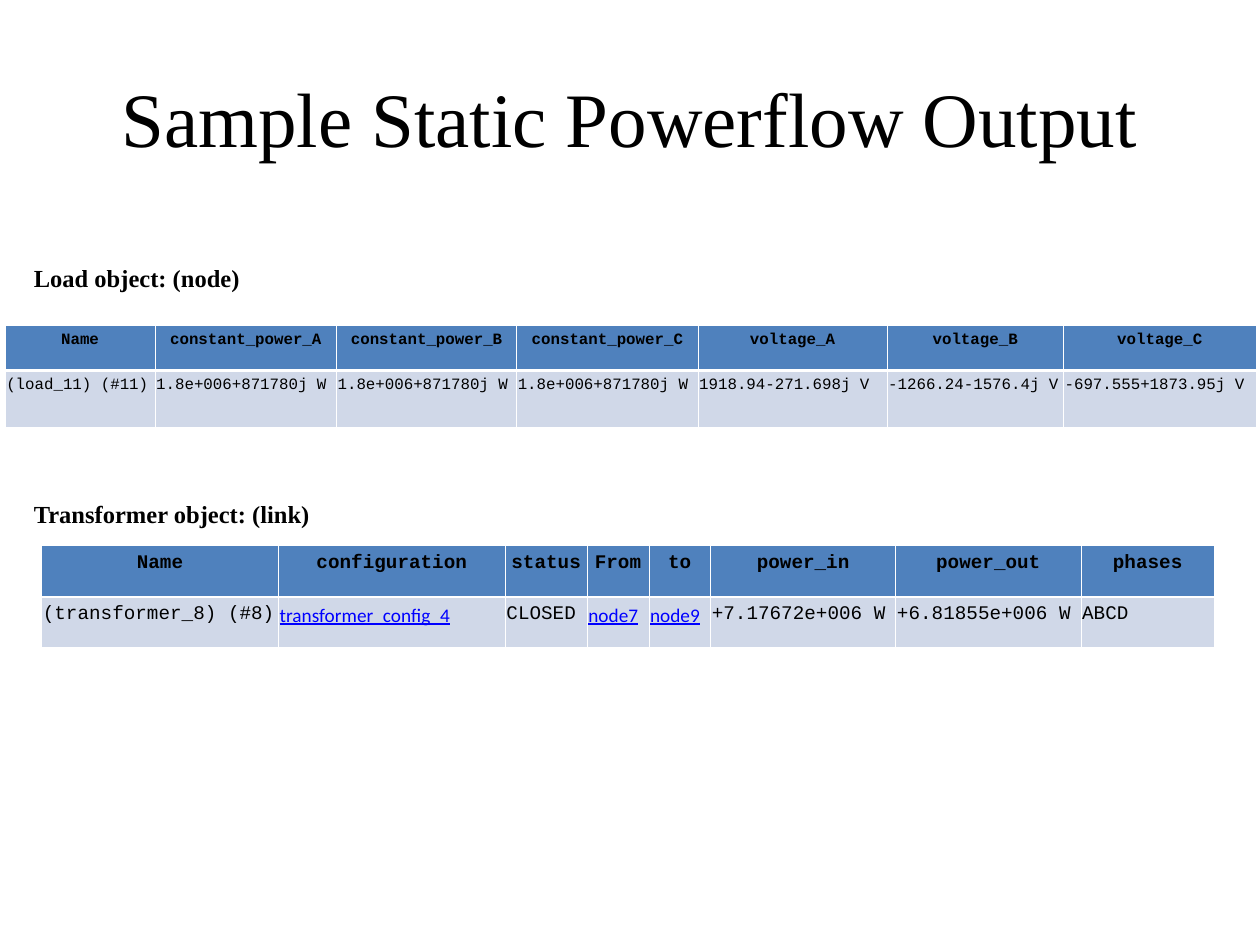
from dataclasses import dataclass

from lxml import etree
from pptx import Presentation
from pptx.dml.color import RGBColor
from pptx.enum import text
from pptx.oxml import ns
from pptx.util import Inches, Pt


@dataclass(frozen=True)
class Theme:
    ink: str = "000000"
    link: str = "0000FF"
    header: str = "4F81BD"
    body: str = "D0D8E8"
    border: str = "FFFFFF"
    serif: str = "Times New Roman"
    mono: str = "Courier New"
    sans: str = "Calibri"
    title_size: int = 44
    heading_size: int = 14
    load_size: int = 9
    transformer_size: int = 11
    thin: float = 0.45
    thick: float = 1.47


theme = Theme()


def style(paragraph, name, size, color=theme.ink, bold=False):
    font = paragraph.font
    font.name, font.size, font.bold = name, Pt(size), bold
    font.color.rgb = RGBColor.from_string(color)


def add_borders(cell, **widths):
    properties = cell._tc.get_or_add_tcPr()
    for side in "LRTB":
        line = etree.SubElement(properties, ns.qn(f"a:ln{side}"), w=str(Pt(widths.get(side, theme.thin))))
        fill = etree.SubElement(line, ns.qn("a:solidFill"))
        etree.SubElement(fill, ns.qn("a:srgbClr"), val=theme.border)


presentation = Presentation()
presentation.slide_width, presentation.slide_height = Inches(10), Inches(7.5)
slide = presentation.slides.add_slide(presentation.slide_layouts[5])

# Title
title = slide.shapes.title
title.left, title.top, title.width, title.height = Inches(0.5), Inches(0.3), Inches(9), Inches(1.25)
title.text_frame.text = "Sample Static Powerflow Output"
title.text_frame.vertical_anchor = text.MSO_ANCHOR.MIDDLE
paragraph = title.text_frame.paragraphs[0]
paragraph.alignment = text.PP_ALIGN.CENTER
style(paragraph, theme.serif, theme.title_size)

# Section headings
for heading, top in (("Load object: (node)", 2.08), ("Transformer object: (link)", 3.96)):
    box = slide.shapes.add_textbox(Inches(0.17), Inches(top), Inches(9.83), Inches(0.3))
    box.text_frame.word_wrap = True
    paragraph = box.text_frame.paragraphs[0]
    paragraph.text = heading
    paragraph.line_spacing = 0.8
    style(paragraph, theme.serif, theme.heading_size, bold=True)

# Table contents: position, text size, row heights, then (width, header, value) per column
power = "1.8e+006+871780j W"
tables = [
    (0.04, 2.58, theme.load_size, (0.36, 0.45), [
        (1.19, "Name", "(load_11) (#11)"),
        (1.44, "constant_power_A", power),
        (1.43, "constant_power_B", power),
        (1.44, "constant_power_C", power),
        (1.5, "voltage_A", "1918.94-271.698j V"),
        (1.4, "voltage_B", "-1266.24-1576.4j V"),
        (1.53, "voltage_C", "-697.555+1873.95j V"),
    ]),
    (0.33, 4.33, theme.transformer_size, (0.41, 0.4), [
        (1.88, "Name", "(transformer_8) (#8)"),
        (1.8, "configuration", "transformer_config_4"),
        (0.65, "status", "CLOSED"),
        (0.49, "From", "node7"),
        (0.49, "to", "node9"),
        (1.47, "power_in", "+7.17672e+006 W"),
        (1.47, "power_out", "+6.81855e+006 W"),
        (1.06, "phases", "ABCD"),
    ]),
]
reference_columns = {"configuration", "From", "to"}

# Tables
for left, top, size, heights, columns in tables:
    width = sum(column[0] for column in columns)
    table = slide.shapes.add_table(
        len(heights), len(columns), Inches(left), Inches(top), Inches(width), Inches(sum(heights))
    ).table
    for row, height in zip(table.rows, heights):
        row.height = Inches(height)
    for column_index, (column_width, header, value) in enumerate(columns):
        table.columns[column_index].width = Inches(column_width)
        for row_index, content in enumerate((header, value)):
            is_header = row_index == 0
            cell = table.cell(row_index, column_index)
            cell.margin_left = cell.margin_right = Inches(0.01)
            cell.margin_top = cell.margin_bottom = Inches(0.05)
            add_borders(cell, **{"B" if is_header else "T": theme.thick})
            cell.fill.solid()
            cell.fill.fore_color.rgb = RGBColor.from_string(theme.header if is_header else theme.body)
            paragraph = cell.text_frame.paragraphs[0]
            paragraph.text = content
            paragraph.alignment = text.PP_ALIGN.CENTER if is_header else text.PP_ALIGN.LEFT
            if not is_header and header in reference_columns:
                style(paragraph, theme.sans, size, theme.link)
                paragraph.font.underline = True
            else:
                style(paragraph, theme.mono, size, bold=is_header)

presentation.save("out.pptx")
